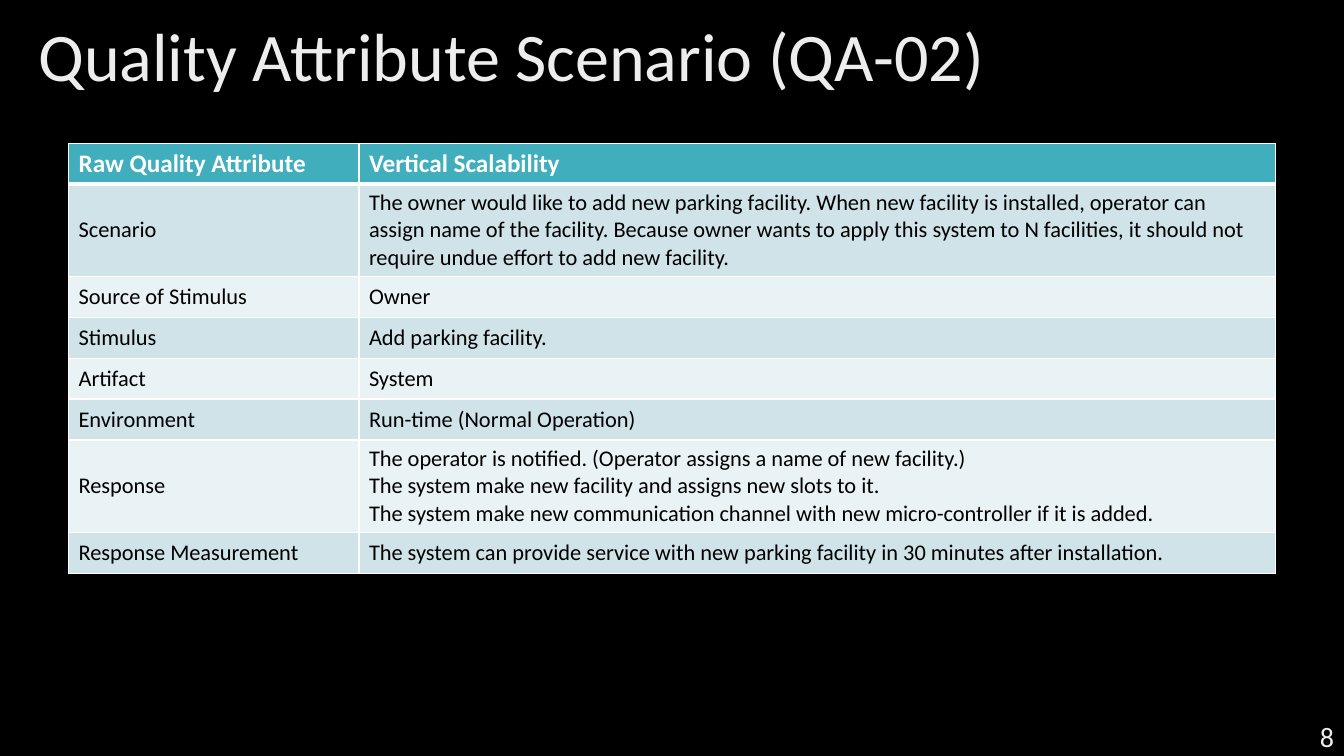
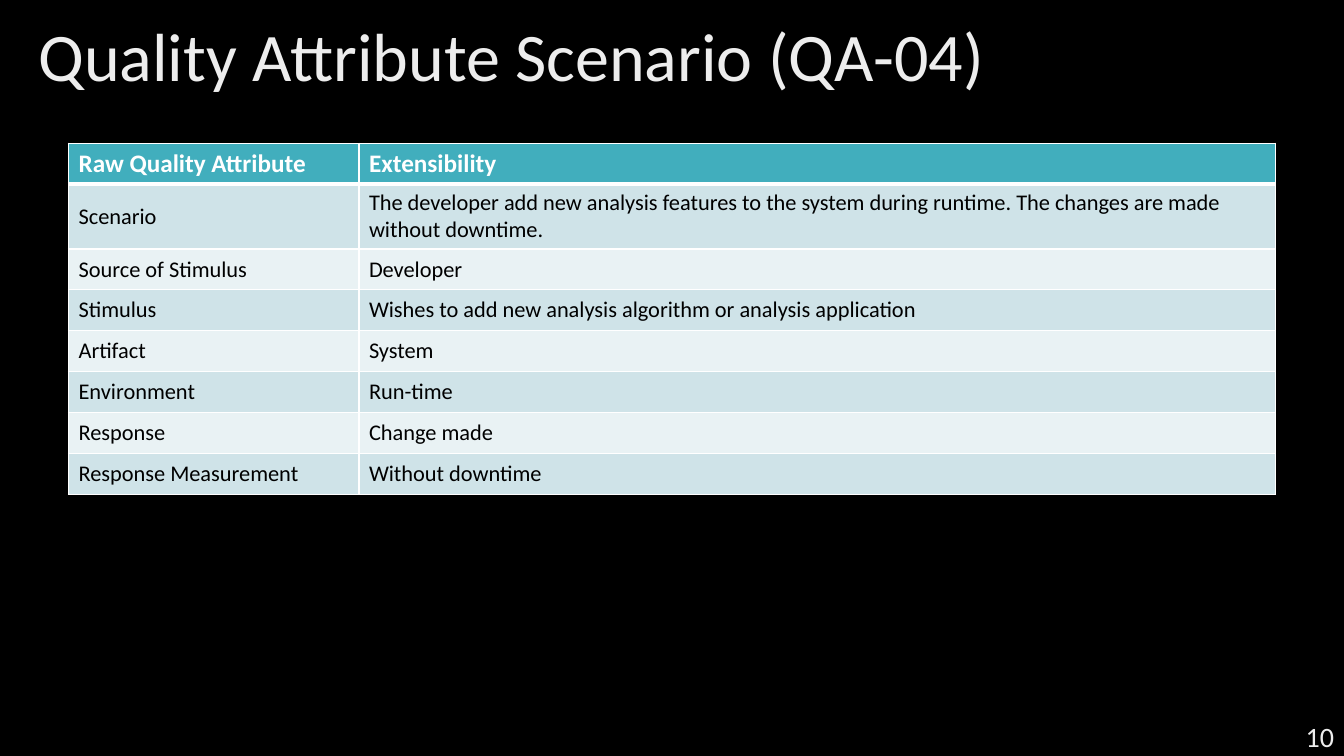
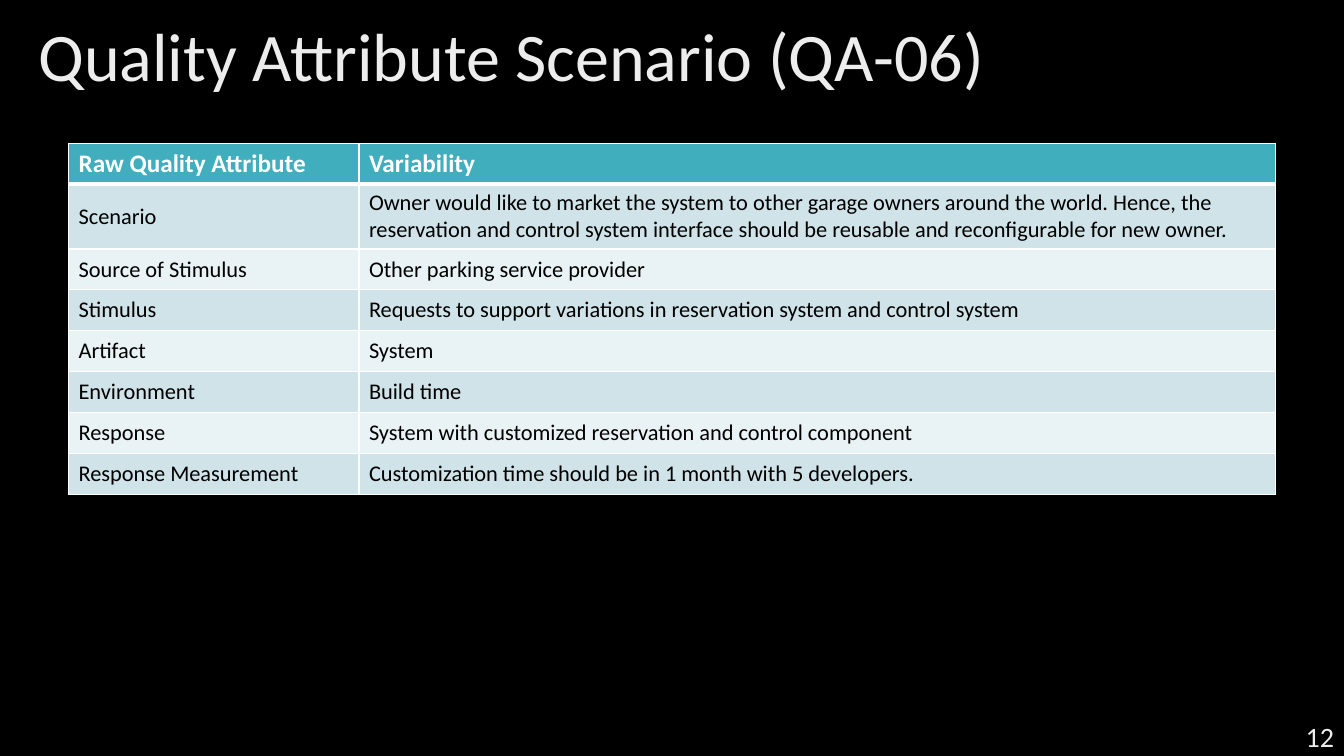
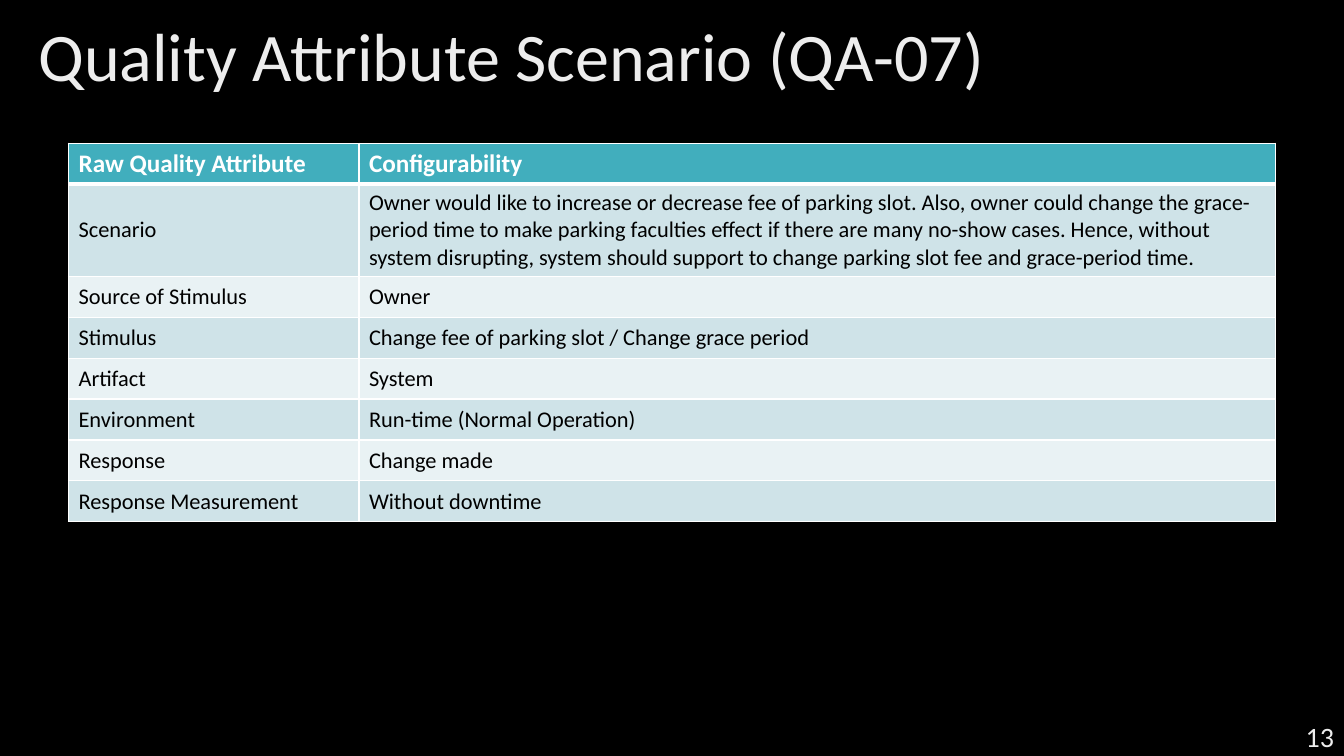
from lxml import etree
from pptx import Presentation
from pptx.dml.color import RGBColor
from pptx.enum.text import MSO_ANCHOR, MSO_AUTO_SIZE, PP_ALIGN
from pptx.oxml.ns import qn
from pptx.util import Inches, Pt

MIDDLE, TOP = MSO_ANCHOR.MIDDLE, MSO_ANCHOR.TOP
LEFT, RIGHT = PP_ALIGN.LEFT, PP_ALIGN.RIGHT
NO_AUTOFIT = MSO_AUTO_SIZE.NONE
TITLE_ONLY = 5

FONT = "Calibri"
BLACK, WHITE, LIGHT = "000000", "FFFFFF", "EDEDED"
HEADER_FILL = "41AEBD"
BAND_FILLS = ("E9F2F4", "CFE3E8")

SLIDE_SIZE = (13.33, 7.5)
TITLE_BOX = (0.28, 0.2, 12.77, 0.78)
TABLE_BOX = (0.68, 1.42, 11.97, 3.25)
NUMBER_BOX = (10.33, 7.1, 3, 0.4)
LABEL_WIDTH = 2.88

LABELS = ("Raw Quality Attribute", "Scenario", "Source of Stimulus", "Stimulus",
          "Artifact", "Environment", "Response", "Response Measurement")

# Page number, scenario code, then one value for each label
SCENARIOS = (
    (8, "QA-02", (
        "Vertical Scalability",
        "The owner would like to add new parking facility. When new facility is installed, "
        "operator can assign name of the facility. Because owner wants to apply this system "
        "to N facilities, it should not require undue effort to add new facility.",
        "Owner",
        "Add parking facility.",
        "System",
        "Run-time (Normal Operation)",
        "The operator is notified. (Operator assigns a name of new facility.)\n"
        "The system make new facility and assigns new slots to it.\n"
        "The system make new communication channel with new micro-controller if it is added.",
        "The system can provide service with new parking facility in 30 minutes "
        "after installation.",
    )),
    (10, "QA-04", (
        "Extensibility",
        "The developer add new analysis features to the system during runtime. "
        "The changes are made without downtime.",
        "Developer",
        "Wishes to add new analysis algorithm or analysis application",
        "System",
        "Run-time",
        "Change made",
        "Without downtime",
    )),
    (12, "QA-06", (
        "Variability",
        "Owner would like to market the system to other garage owners around the world. "
        "Hence, the reservation and control system interface should be reusable and "
        "reconfigurable for new owner.",
        "Other parking service provider",
        "Requests to support variations in reservation system and control system",
        "System",
        "Build time",
        "System with customized reservation and control component",
        "Customization time should be in 1 month with 5 developers.",
    )),
    (13, "QA-07", (
        "Configurability",
        "Owner would like to increase or decrease fee of parking slot. Also, owner could "
        "change the grace-period time to make parking faculties effect if there are many "
        "no-show cases. Hence, without system disrupting, system should support to change "
        "parking slot fee and grace-period time.",
        "Owner",
        "Change fee of parking slot / Change grace period",
        "System",
        "Run-time (Normal Operation)",
        "Change made",
        "Without downtime",
    )),
)


def color(value):
    return RGBColor.from_string(value)


def inches(box):
    return [Inches(length) for length in box]


def format_text(text_frame, size, text_color, bold=False, align=LEFT):
    for paragraph in text_frame.paragraphs:
        paragraph.alignment = align
        for run in paragraph.runs:
            run.font.name = FONT
            run.font.size = Pt(size)
            run.font.bold = bold
            run.font.color.rgb = color(text_color)


def add_border(cell, side, width):
    """Draw one white side of a cell: L, R, T or B, in that order."""
    properties = cell._tc.get_or_add_tcPr()
    line = etree.SubElement(properties, qn(f"a:ln{side}"), w=str(Pt(width)))
    fill = etree.SubElement(line, qn("a:solidFill"))
    etree.SubElement(fill, qn("a:srgbClr"), val=WHITE)


def fill_cell(cell, text, row):
    is_header = row == 0
    cell.text = text
    cell.vertical_anchor = TOP if is_header else MIDDLE
    if is_header:
        format_text(cell.text_frame, 18, WHITE, bold=True)
    else:
        format_text(cell.text_frame, 16, BLACK)
    widths = {"L": 1, "R": 1, "T": 3 if row == 1 else 1, "B": 3 if is_header else 1}
    for side, width in widths.items():
        add_border(cell, side, width)
    cell.fill.solid()
    cell.fill.fore_color.rgb = color(HEADER_FILL if is_header else BAND_FILLS[row % 2])


def add_scenario_table(slide, box, values):
    table = slide.shapes.add_table(len(LABELS), 2, *inches(box)).table
    table.columns[0].width = Inches(LABEL_WIDTH)
    table.columns[1].width = Inches(box[2] - LABEL_WIDTH)
    for row, texts in enumerate(zip(LABELS, values)):
        for column, text in enumerate(texts):
            fill_cell(table.cell(row, column), text, row)


def set_title(slide, text):
    text_frame = slide.shapes.title.text_frame
    text_frame.text = text
    text_frame.paragraphs[0].line_spacing = 0.9
    format_text(text_frame, 48.6, LIGHT)


def add_page_number(slide, box, number):
    text_frame = slide.shapes.add_textbox(*inches(box)).text_frame
    text_frame.word_wrap = True
    text_frame.vertical_anchor = MIDDLE
    text_frame.text = str(number)
    format_text(text_frame, 20, LIGHT, align=RIGHT)


def prepare_layout(presentation):
    """Give the master its background and the layout its title box."""
    background = presentation.slide_master.background.fill
    background.solid()
    background.fore_color.rgb = color(BLACK)
    layout = presentation.slide_layouts[TITLE_ONLY]
    title = layout.placeholders[0]
    title.left, title.top, title.width, title.height = inches(TITLE_BOX)
    title.text_frame.vertical_anchor = MIDDLE
    title.text_frame.auto_size = NO_AUTOFIT
    return layout


def add_scenario_slide(presentation, layout, number, code, values):
    slide = presentation.slides.add_slide(layout)
    set_title(slide, f"Quality Attribute Scenario ({code})")
    add_scenario_table(slide, TABLE_BOX, values)
    add_page_number(slide, NUMBER_BOX, number)


def main():
    presentation = Presentation()
    presentation.slide_width, presentation.slide_height = inches(SLIDE_SIZE)
    layout = prepare_layout(presentation)
    for number, code, values in SCENARIOS:
        add_scenario_slide(presentation, layout, number, code, values)
    presentation.save("out.pptx")


if __name__ == "__main__":
    main()
